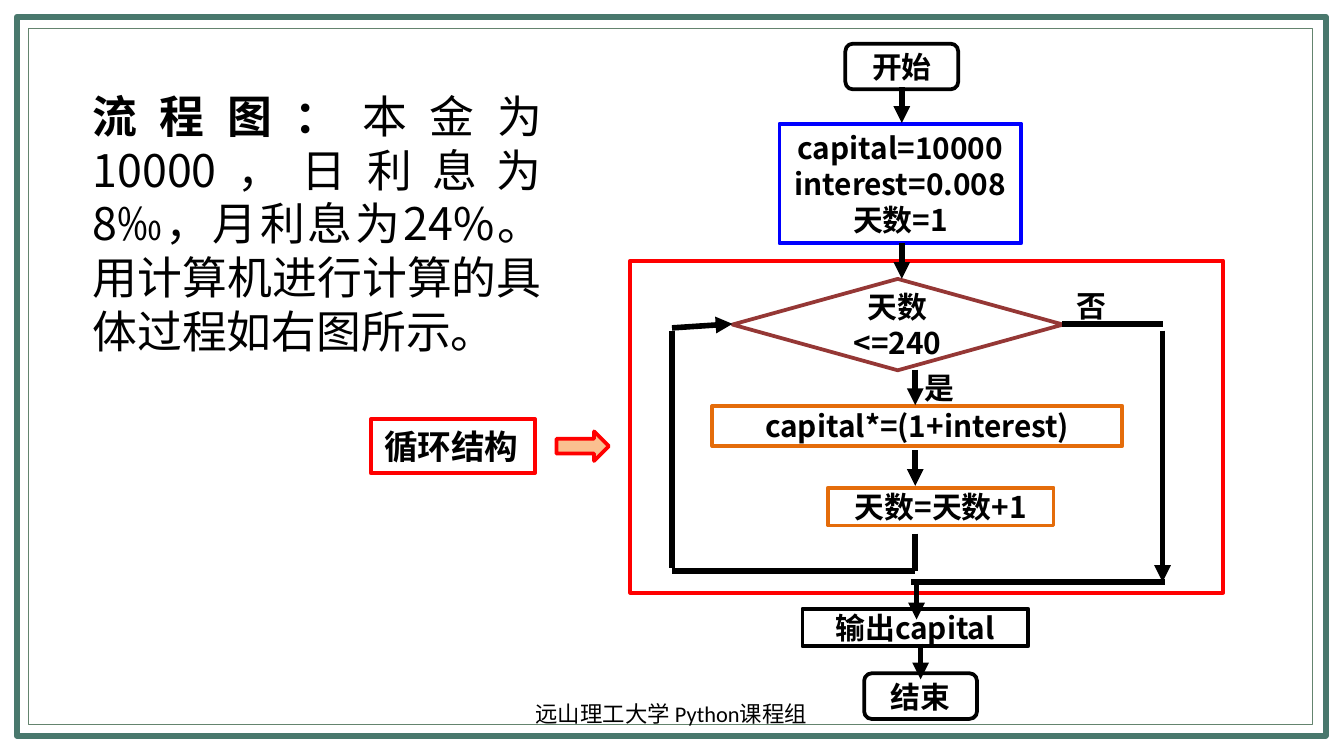
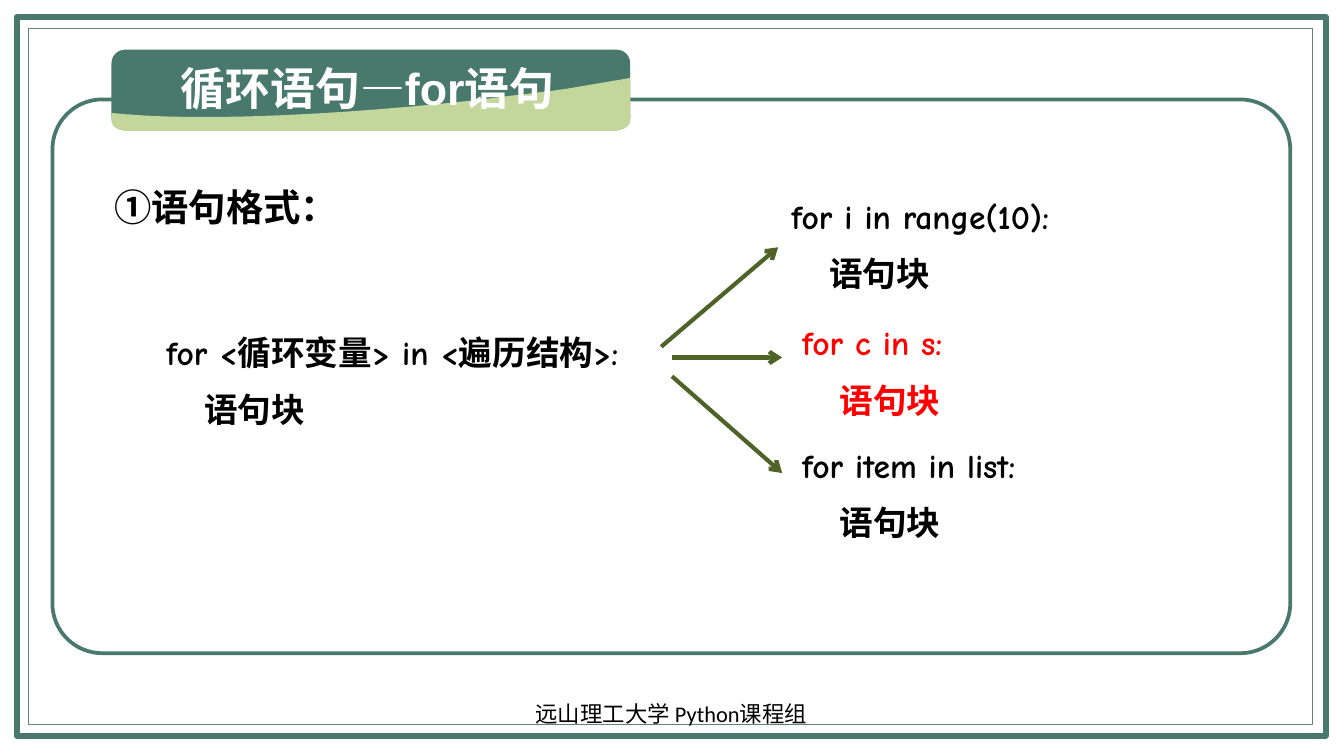
import dataclasses
import typing

import lxml.etree
import pptx
import pptx.dml.color
import pptx.enum.shapes
import pptx.enum.text
import pptx.oxml.ns
import pptx.util

BLACK = pptx.dml.color.RGBColor(0x00, 0x00, 0x00)
WHITE = pptx.dml.color.RGBColor(0xFF, 0xFF, 0xFF)
RED = pptx.dml.color.RGBColor(0xFF, 0x00, 0x00)
BLUE = pptx.dml.color.RGBColor(0x00, 0x00, 0xFF)
TEAL = pptx.dml.color.RGBColor(0x49, 0x78, 0x6D)
SAGE = pptx.dml.color.RGBColor(0x64, 0x84, 0x6E)
LIME = pptx.dml.color.RGBColor(0xC3, 0xD6, 0x9B)
MOSS = pptx.dml.color.RGBColor(0x4F, 0x62, 0x28)
PEACH = pptx.dml.color.RGBColor(0xFA, 0xC0, 0x90)
RUST = pptx.dml.color.RGBColor(0x95, 0x37, 0x35)
AMBER = pptx.dml.color.RGBColor(0xE4, 0x6C, 0x0A)

NOTO = "Noto Sans CJK SC"
COMIC = "Comic Neue"
KIND = pptx.enum.shapes.MSO_SHAPE
ALIGN = pptx.enum.text.PP_ALIGN
ANCHOR = pptx.enum.text.MSO_ANCHOR
COLUMNS = 100
WIDTH = pptx.util.Inches(10)
HEIGHT = WIDTH * 9 // 16
Point = tuple[float, float]


class Style(typing.NamedTuple):
    size: float
    font: str
    color: pptx.dml.color.RGBColor = BLACK
    bold: bool = True


FLOW = Style(16, NOTO)
CODE = Style(18, COMIC)


@dataclasses.dataclass(frozen=True)
class Box:
    left: float
    top: float
    wide: float
    high: float
    lines: tuple[str, ...] = ()
    kind: typing.Any = None
    line: pptx.dml.color.RGBColor | None = None
    weight: float = 2
    fill: pptx.dml.color.RGBColor | None = None
    style: Style = FLOW
    align: typing.Any = ALIGN.CENTER
    anchor: typing.Any = ANCHOR.MIDDLE
    before: float = 0
    indent: float = 0
    wrap: bool = True


@dataclasses.dataclass(frozen=True)
class Wire:
    start: Point
    end: Point
    head: str = ""
    color: pptx.dml.color.RGBColor = BLACK
    weight: float = 3


def unit(count: float) -> int:
    return round(WIDTH * count / COLUMNS)


def write(par: typing.Any, text: str, style: Style) -> None:
    run = par.add_run()
    run.text = text
    run.font.size = pptx.util.Pt(style.size)
    run.font.bold = style.bold
    run.font.color.rgb = style.color
    run.font.name = style.font
    east = lxml.etree.SubElement(run.font._element, pptx.oxml.ns.qn("a:ea"))
    east.set("typeface", NOTO)


def fill_text(shape: typing.Any, box: Box) -> None:
    frame = shape.text_frame
    frame.word_wrap = box.wrap
    frame.auto_size = pptx.enum.text.MSO_AUTO_SIZE.NONE
    frame.vertical_anchor = box.anchor
    frame.margin_left = frame.margin_right = unit(1)
    frame.margin_top = frame.margin_bottom = unit(0.5)
    for index, line in enumerate(box.lines):
        par = frame.add_paragraph() if index else frame.paragraphs[0]
        par.alignment = box.align
        par.space_before = pptx.util.Pt(box.before)
        if index and box.indent:
            par._p.get_or_add_pPr().set("marL", str(unit(box.indent)))
        write(par, line, box.style)


def paint(shape: typing.Any, box: Box) -> None:
    shape.shadow.inherit = False
    if box.fill is None:
        shape.fill.background()
    else:
        shape.fill.solid()
        shape.fill.fore_color.rgb = box.fill
    if box.line is None:
        shape.line.fill.background()
    else:
        shape.line.color.rgb = box.line
        shape.line.width = pptx.util.Pt(box.weight)


def draw(shapes: typing.Any, box: Box) -> typing.Any:
    place = [unit(n) for n in (box.left, box.top, box.wide, box.high)]
    if box.kind is None:
        shape = shapes.add_textbox(*place)
    else:
        shape = shapes.add_shape(box.kind, *place)
        paint(shape, box)
    if box.lines:
        fill_text(shape, box)
    return shape


def link(shapes: typing.Any, wire: Wire) -> None:
    ends = [unit(n) for n in wire.start + wire.end]
    line = shapes.add_connector(pptx.enum.shapes.MSO_CONNECTOR.STRAIGHT, *ends)
    line.line.color.rgb = wire.color
    line.line.width = pptx.util.Pt(wire.weight)
    if wire.head:
        tail = lxml.etree.SubElement(line.line._get_or_add_ln(), pptx.oxml.ns.qn("a:tailEnd"))
        tail.set("type", wire.head)
    lxml.etree.SubElement(line._element.spPr, pptx.oxml.ns.qn("a:effectLst"))


def curve(a: Point, b: Point, c: Point, d: Point, steps: int = 12) -> list[Point]:
    def mix(t: float, axis: int) -> float:
        s = 1 - t
        return s**3 * a[axis] + 3 * s * s * t * b[axis] + 3 * s * t * t * c[axis] + t**3 * d[axis]

    return [(mix(n / steps, 0), mix(n / steps, 1)) for n in range(1, steps + 1)]


def add_frame(shapes: typing.Any) -> None:
    draw(shapes, Box(1.25, 1.25, 97.4, 53.5, kind=KIND.RECTANGLE, line=TEAL, weight=3))
    draw(shapes, Box(2.1, 2.1, 95.6, 51.8, kind=KIND.RECTANGLE, line=SAGE, weight=0.5))


def add_foot(shapes: typing.Any) -> None:
    style = Style(12, "Calibri", bold=False)
    draw(shapes, Box(34.1, 51.6, 31.7, 3, ("远山理工大学 Python课程组",), style=style))


def add_wave(shapes: typing.Any) -> None:
    dots = [(46.9, 9.0)]
    dots += curve(dots[-1], (46.9, 9.4), (46.3, 9.75), (45.6, 9.75))
    dots += [(9.5, 9.75)]
    dots += curve(dots[-1], (8.8, 9.75), (8.3, 9.4), (8.3, 9.0))
    dots += [(8.3, 8.4), (9.3, 8.5)]
    dots += curve(dots[-1], (15.2, 9.0), (25, 8.6), (35.9, 7.4))
    dots += curve(dots[-1], (38, 7.1), (40.2, 6.9), (42.2, 6.6))
    ends = [(unit(x), unit(y)) for x, y in [(46.9, 5.8)] + dots]
    form = shapes.build_freeform(*ends[0])
    form.add_line_segments(ends[1:], close=True)
    paint(form.convert_to_shape(), Box(0, 0, 0, 0, fill=LIME))


def add_steps(shapes: typing.Any) -> None:
    ends = [(62.9, 3.25, "开始"), (64.3, 50.1, "结束")]
    for left, top, text in ends:
        draw(shapes, Box(left, top, 8.4, 3.4, (text,), KIND.ROUNDED_RECTANGLE, BLACK))
    setup = ("capital=10000", "interest=0.008", "天数=1")
    steps = [
        Box(58, 9.2, 18, 8.9, setup, KIND.RECTANGLE, BLUE),
        Box(54.5, 20.75, 24.6, 6.8, ("天数<=240",), KIND.DIAMOND, RUST),
        Box(53, 30.2, 30.5, 3, ("capital*=(1+interest)",), KIND.RECTANGLE, AMBER),
        Box(61.6, 36.3, 16.8, 2.8, ("天数=天数+1",), KIND.RECTANGLE, AMBER),
        Box(59.7, 45.3, 16.8, 2.8, ("输出capital",), KIND.RECTANGLE, BLACK),
        Box(67.8, 27.7, 4.1, 2.3, ("是",)),
        Box(79.1, 21.6, 4.1, 2.3, ("否",)),
    ]
    for step in steps:
        draw(shapes, step)
    drops = [(67.1, 6.5), (67.1, 18.1), (68.1, 27.5), (68.1, 33.5), (68.5, 47.9)]
    for x, y in drops:
        link(shapes, Wire((x, y), (x, y + 2.65), "triangle"))
    wires = [
        Wire((68.1, 39.7), (68.1, 42.5)),
        Wire((50, 42.5), (68.1, 42.5)),
        Wire((50, 24.6), (50, 42.3)),
        Wire((50, 24.4), (54.5, 24.1), "triangle"),
        Wire((79, 24.1), (86.5, 24.1)),
        Wire((86.5, 24.6), (86.5, 43.3), "triangle"),
        Wire((67.8, 43.3), (86.7, 43.3)),
    ]
    for wire in wires:
        link(shapes, wire)


def make_flow(deck: typing.Any) -> None:
    shapes = deck.slides.add_slide(deck.slide_layouts[6]).shapes
    add_frame(shapes)
    head = Style(24, NOTO)
    intro = draw(shapes, Box(5.9, 6.1, 35.4, 21.2, ("流程图：",), style=head,
                             align=ALIGN.JUSTIFY, anchor=ANCHOR.TOP))
    text = "本金为10000，日利息为8‰，月利息为24%。用计算机进行计算的具体过程如右图所示。"
    write(intro.text_frame.paragraphs[0], text, head._replace(bold=False))
    draw(shapes, Box(46.9, 19.4, 44.1, 24.7, kind=KIND.RECTANGLE, line=RED, weight=2.25))
    draw(shapes, Box(27.6, 31.2, 12.2, 4, ("循环结构",), KIND.RECTANGLE, RED, 2.25,
                     style=Style(18, "Calibri"), align=ALIGN.LEFT, anchor=ANCHOR.TOP, wrap=False))
    draw(shapes, Box(41.4, 32.1, 3.9, 2.2, kind=KIND.RIGHT_ARROW, line=RED, fill=PEACH))
    add_foot(shapes)
    add_steps(shapes.add_group_shape().shapes)
    link(shapes, Wire((68.2, 43.5), (68.2, 46.1), "triangle"))


def make_loop(deck: typing.Any) -> None:
    shapes = deck.slides.add_slide(deck.slide_layouts[5]).shapes
    add_frame(shapes)
    panel = draw(shapes, Box(3.9, 7.4, 92.1, 41.2, kind=KIND.ROUNDED_RECTANGLE,
                             line=TEAL, fill=WHITE))
    panel.adjustments[0] = 0.09
    draw(shapes, Box(8.3, 3.7, 38.6, 6, kind=KIND.ROUNDED_RECTANGLE, fill=TEAL))
    add_wave(shapes)
    title = shapes.title
    title.left, title.top, title.width, title.height = map(unit, (9.4, 4, 35.9, 5))
    fill_text(title, Box(9.4, 4, 35.9, 5, ("循环语句—for语句",), style=Style(24, "Arial", WHITE),
                         anchor=ANCHOR.TOP, before=5))
    title._element.getparent().append(title._element)
    draw(shapes, Box(7.5, 13.2, 46.5, 4.4, ("①语句格式：",), style=Style(20, COMIC),
                     align=ALIGN.LEFT, anchor=ANCHOR.TOP, before=10))
    add_foot(shapes)
    codes = [
        (11.4, 24.2, 50, "for <循环变量> in <遍历结构>:", BLACK),
        (57.9, 14.1, 25.9, "for i in range(10):", BLACK),
        (58.7, 32.6, 25.9, "for item in list:", BLACK),
        (58.7, 23.5, 25.9, "for c in s:", RED),
    ]
    for left, top, wide, text, color in codes:
        draw(shapes, Box(left, top, wide, 8.6, (text, "语句块"), style=CODE._replace(color=color),
                         align=ALIGN.LEFT, anchor=ANCHOR.TOP, before=9, indent=2.8))
    rays = [((49.2, 25.8), (57.9, 18.4)), ((50, 26.6), (58.2, 26.6)), ((50, 28), (58.2, 35.2))]
    for start, end in rays:
        link(shapes, Wire(start, end, "arrow", MOSS, 2.25))


def main() -> None:
    deck = pptx.Presentation()
    deck.slide_width = WIDTH
    deck.slide_height = HEIGHT
    make_flow(deck)
    make_loop(deck)
    deck.save("out.pptx")


if __name__ == "__main__":
    main()
